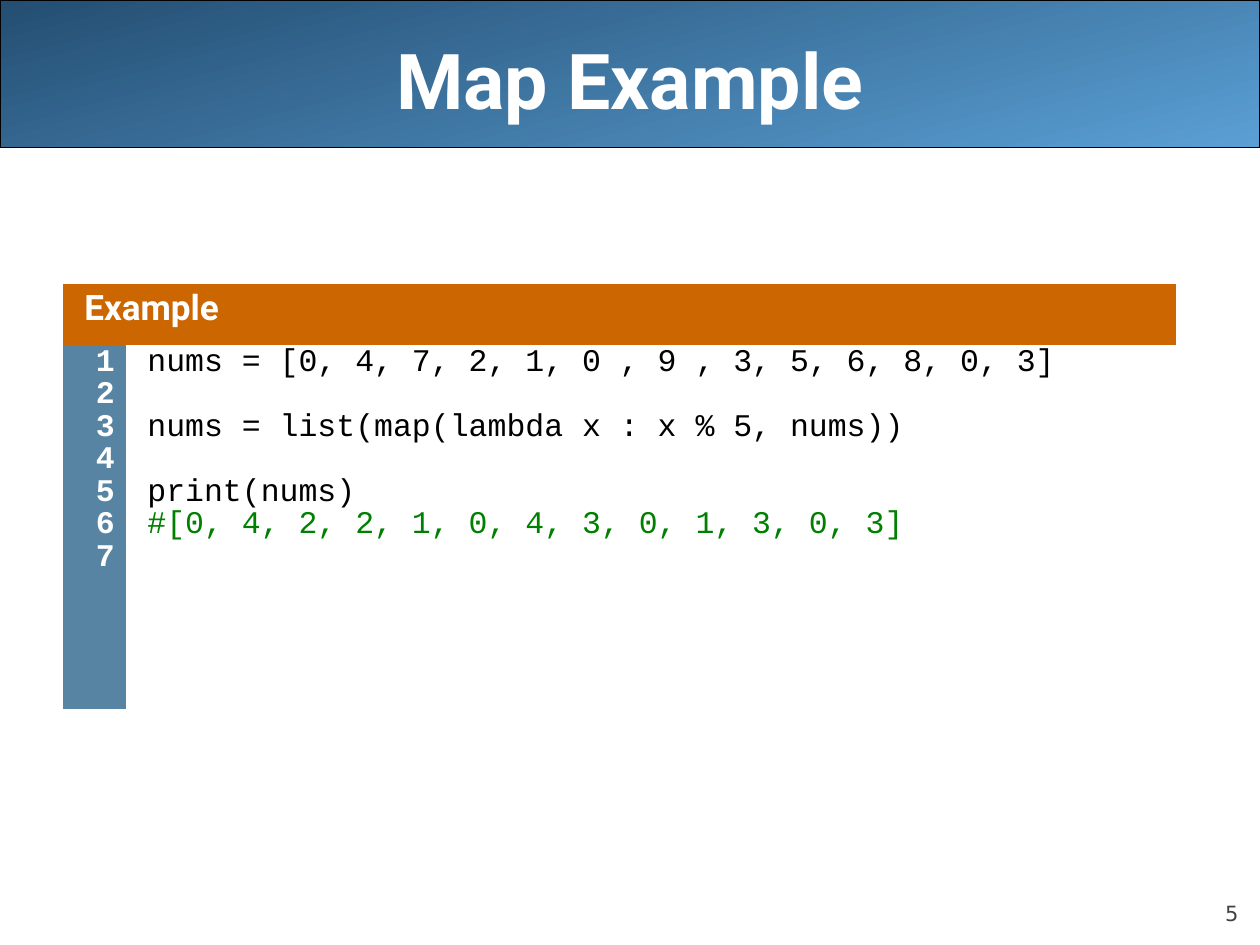
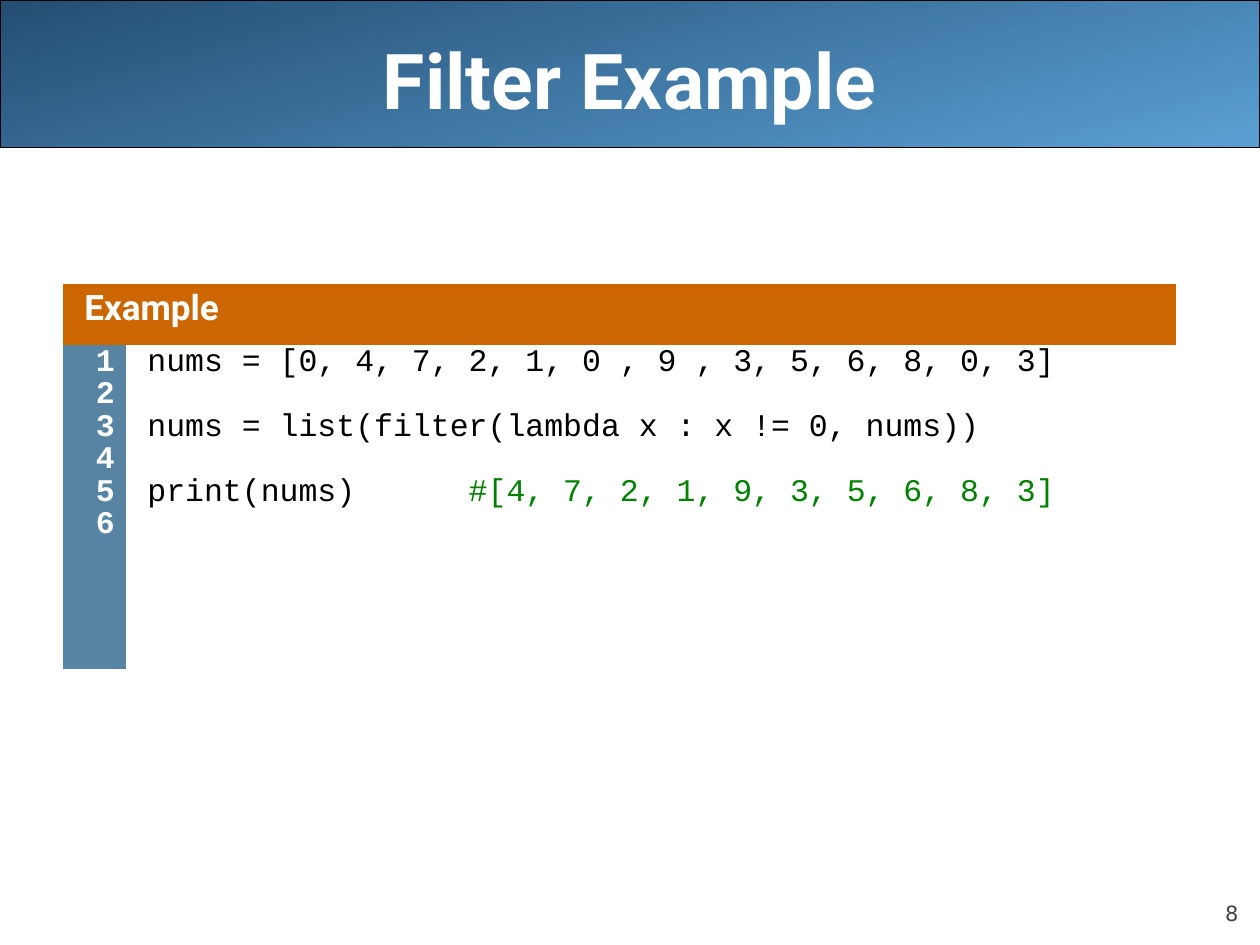
from pptx import Presentation
from pptx import util as u
from pptx.dml import color
from pptx.enum import shapes, text

deck = Presentation()
deck.slide_width, deck.slide_height = u.Inches(10), u.Inches(7.5)
COLS, ROWS = 20, 30
WHITE, BLACK, GREEN = "FFFFFF", "000000", "008000"
MONO, SANS = "Courier New", "Roboto"
GAP, TIGHT = 4.5, 0.69
PITCH = 18 * 1.133 * TIGHT + GAP

talks = [
    ("Map Example", "5", 7, 11.56, [
        "nums = [0, 4, 7, 2, 1, 0 , 9 , 3, 5, 6, 8, 0, 3]",
        "",
        "nums = list(map(lambda x : x % 5, nums))",
        "",
        "print(nums)",
        "#[0, 4, 2, 2, 1, 0, 4, 3, 0, 1, 3, 0, 3]"]),
    ("Filter Example", "8", 6, 10.28, [
        "nums = [0, 4, 7, 2, 1, 0 , 9 , 3, 5, 6, 8, 0, 3]",
        "",
        "nums = list(filter(lambda x : x != 0, nums))",
        "",
        "print(nums)      #[4, 7, 2, 1, 9, 3, 5, 6, 8, 3]"]),
]


def ink(code):
    return color.RGBColor.from_string(code)


def grid(x, y, w, h):
    wide, high = deck.slide_width / COLS, deck.slide_height / ROWS
    return [u.Emu(round(n)) for n in (x * wide, y * high, w * wide, h * high)]


plan = deck.slide_layouts[5]
for head, page, count, depth, code in talks:
    slide = deck.slides.add_slide(plan)
    if page == talks[0][1]:
        band = slide.shapes.add_shape(
            shapes.MSO_SHAPE.ROUNDED_RECTANGLE, *grid(0, 0, COLS, 4.68))
        band.adjustments[0] = 0
        band.shadow.inherit = False
        band.fill.gradient()
        band.fill.gradient_angle = 105
        for stop, tone in zip(band.fill.gradient_stops, ("5A9FD4", "244E72")):
            stop.color.rgb = ink(tone)
        band.line.color.rgb = ink(BLACK)
        band.line.width = u.Pt(0.75)
        plan.shapes._spTree.append(band._element)

    title = slide.shapes.title
    title.left, title.top, title.width, title.height = grid(1, 0, 18, 5)
    title.text_frame.text = head
    title.text_frame.auto_size = text.MSO_AUTO_SIZE.NONE
    title.text_frame.vertical_anchor = text.MSO_ANCHOR.MIDDLE
    top = title.text_frame.paragraphs[0]
    top.alignment = text.PP_ALIGN.CENTER

    foot = slide.shapes.add_textbox(*grid(18, 27.8, 1.66, 1.6)).text_frame
    foot.margin_left = foot.margin_right = foot.margin_top = foot.margin_bottom = 0
    foot.word_wrap = True
    foot.vertical_anchor = text.MSO_ANCHOR.BOTTOM
    foot.text = page
    mark = foot.paragraphs[0]
    mark.alignment = text.PP_ALIGN.RIGHT

    frame = slide.shapes.add_table(2, 2, *grid(1, 9, 17.66, 1.96 + depth))
    table = frame.table
    table.first_row = table.horz_banding = False
    table._tbl.tblPr[0].text = "{2D5ABB26-0587-4C30-8999-92F81FD0307C}"
    for part, size in zip(table.columns, (1, 16.66)):
        part.width = grid(0, 0, size, 0)[2]
    for part, size in zip(table.rows, (1.96, depth)):
        part.height = grid(0, 0, 0, size)[3]
    label, side, main = table.cell(0, 0), table.cell(1, 0), table.cell(1, 1)
    label.merge(table.cell(0, 1))
    for cell, tone, edge in ((label, "CC6600", 0.05), (side, "5784A3", 0.09),
                             (main, WHITE, 0.18)):
        cell.fill.solid()
        cell.fill.fore_color.rgb = ink(tone)
        cell.margin_left, cell.margin_right = u.Inches(0.17), u.Inches(edge)
        cell.margin_top = cell.margin_bottom = u.Inches(0.05)

    label.text = "Example"
    name = label.text_frame.paragraphs[0]
    name.line_spacing = 0.92
    looks = [(top, SANS, 44, WHITE, True), (name, SANS, 20, WHITE, True),
             (mark, "DejaVu Sans", 12, "424242", False)]

    side.text = "\n".join(str(n + 1) for n in range(count))
    for par in side.text_frame.paragraphs:
        par.alignment = text.PP_ALIGN.RIGHT
        looks.append((par, MONO, 18, WHITE, True))

    main.text = "\n".join(filter(None, code))
    spots = [n for n, line in enumerate(code) if line]
    for par, spot, last in zip(main.text_frame.paragraphs, spots, [-1] + spots):
        call, sign, note = code[spot].partition("#")
        par.clear()
        if call:
            par.add_run().text = call
        if sign:
            run = par.add_run()
            run.text = sign + note
            run.font.color.rgb = ink(GREEN)
        par.space_before = u.Pt(GAP + (spot - last - 1) * PITCH)
        looks.append((par, MONO, 18, BLACK, False))

    for par in side.text_frame.paragraphs[1:]:
        par.space_before = u.Pt(GAP)
    main.text_frame.paragraphs[0].space_before = u.Pt(0)

    for par, face, size, tone, bold in looks:
        if face == MONO:
            par.line_spacing = TIGHT
        par.font.name, par.font.size, par.font.bold = face, u.Pt(size), bold
        par.font.color.rgb = ink(tone)

deck.save("out.pptx")
